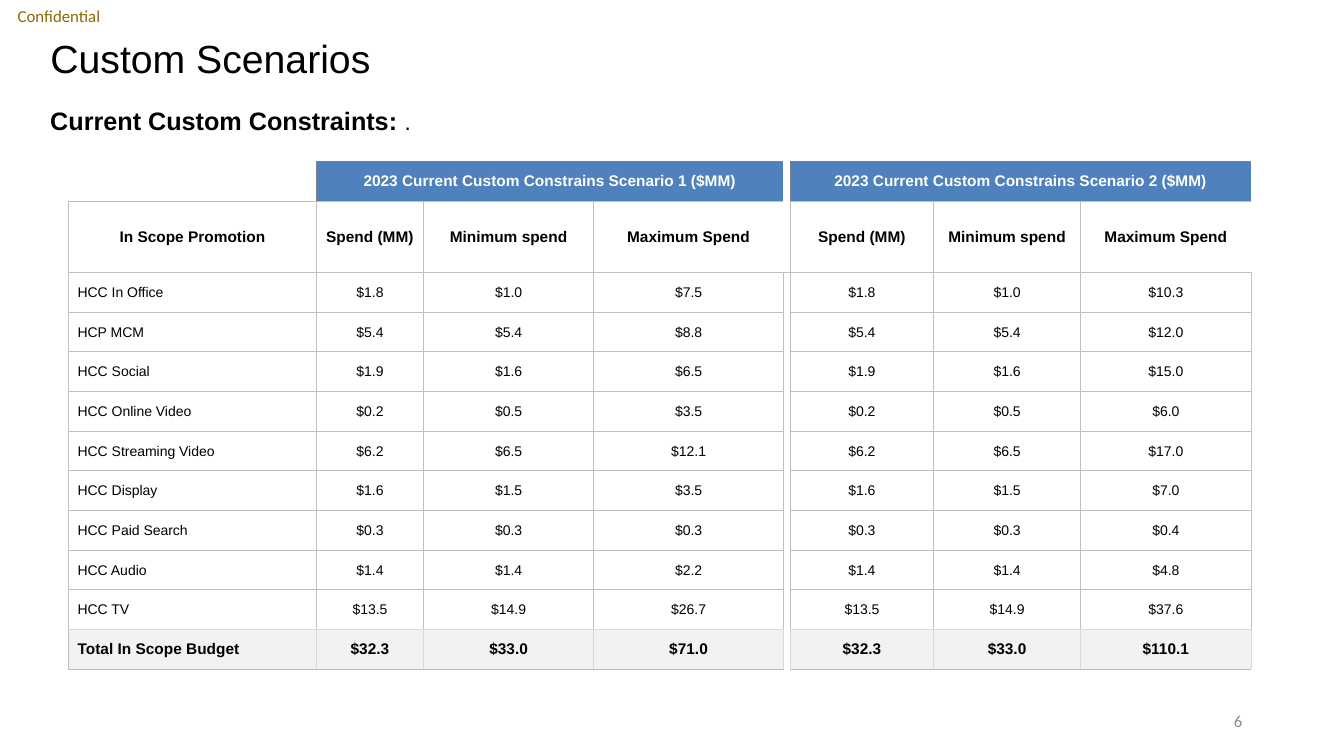
from pptx import Presentation
from pptx.dml.color import RGBColor
from pptx.enum import text
from pptx.oxml import parse_xml
from pptx.oxml.ns import nsdecls
from pptx import util as u

COLORS = {
    "black": "000000", "white": "FFFFFF", "banner": "4F81BD", "total": "F2F2F2",
    "grid": "BFBFBF", "pale": "D9D9D9", "dark": "808080",
    "gold": "8E6A00", "number": "8C8C8C",
}
LEFT, CENTER, RIGHT = text.PP_ALIGN.LEFT, text.PP_ALIGN.CENTER, text.PP_ALIGN.RIGHT
MIDDLE = text.MSO_ANCHOR.MIDDLE


def add_span(para, words, size, color="black", bold=False, font="Arial"):
    span = para.add_run()
    span.text = words
    span.font.name = font
    span.font.size = u.Pt(size)
    span.font.bold = bold
    span.font.color.rgb = RGBColor.from_string(COLORS[color])


def set_borders(cell, sides):
    """Draw the sides given as {"L": colour name}; clear the others."""
    properties = cell._tc.get_or_add_tcPr()
    for side in "LRTB":
        if side in sides:
            paint = f'<a:solidFill><a:srgbClr val="{COLORS[sides[side]]}"/></a:solidFill>'
        else:
            paint = "<a:noFill/>"
        properties.append(parse_xml(
            f'<a:ln{side} w="{u.Pt(0.5)}" {nsdecls("a")}>{paint}</a:ln{side}>'))


deck = Presentation()
deck.slide_width, deck.slide_height = u.Inches(13.33), u.Inches(7.5)
page = deck.slides.add_slide(deck.slide_layouts[5])

# Title
title = page.shapes.title
title.left, title.top = u.Inches(0.4), u.Inches(0.4)
title.width, title.height = u.Inches(12), u.Inches(0.4)
title.text_frame.auto_size = text.MSO_AUTO_SIZE.NONE
title.text_frame.vertical_anchor = MIDDLE
heading = title.text_frame.paragraphs[0]
heading.alignment = LEFT
heading.line_spacing = 0.9
add_span(heading, "Custom Scenarios", 28)

# Confidentiality label, subtitle and page number
labels = [
    ((0, 0, 1.17, 0.32), CENTER, MIDDLE, 0,
     [("Confidential", 12, "gold", False, "Calibri")]),
    ((0.4, 1, 12, 0.4), LEFT, text.MSO_ANCHOR.TOP, 0.1,
     [("Current Custom Constraints: ", 18, "black", True), (".", 16)]),
    ((9.42, 6.95, 3, 0.4), RIGHT, MIDDLE, 0.1,
     [("6", 12, "number", False, "Calibri")]),
]
for place, alignment, anchor, inset, spans in labels:
    box = page.shapes.add_textbox(*map(u.Inches, place))
    frame = box.text_frame
    frame.word_wrap = True
    frame.vertical_anchor = anchor
    frame.margin_left = frame.margin_right = u.Inches(inset)
    frame.margin_top = frame.margin_bottom = u.Inches(inset / 2)
    frame.paragraphs[0].alignment = alignment
    for span in spans:
        add_span(frame.paragraphs[0], *span)

# Table: the promotions, then three columns for each scenario around a narrow gap
measures = ["Spend (MM)", "Minimum spend", "Maximum Spend"]
banners = [f"2023 Current Custom Constrains Scenario {n} ($MM)" for n in (1, 2)]
# promotion, spend, minimum, maximum in scenario 1, maximum in scenario 2
budgets = [
    ("HCC In Office", 1.8, 1.0, 7.5, 10.3),
    ("HCP MCM", 5.4, 5.4, 8.8, 12.0),
    ("HCC Social", 1.9, 1.6, 6.5, 15.0),
    ("HCC Online Video", 0.2, 0.5, 3.5, 6.0),
    ("HCC Streaming Video", 6.2, 6.5, 12.1, 17.0),
    ("HCC Display", 1.6, 1.5, 3.5, 7.0),
    ("HCC Paid Search", 0.3, 0.3, 0.3, 0.4),
    ("HCC Audio", 1.4, 1.4, 2.2, 4.8),
    ("HCC TV", 13.5, 14.9, 26.7, 37.6),
    ("Total In Scope Budget", 32.3, 33.0, 71.0, 110.1),
]
rows = [["", banners[0], "", "", "", banners[1], "", ""],
        ["In Scope Promotion", *measures, "", *measures]]
for name, *amounts in budgets:
    spend, minimum, first_maximum, second_maximum = [f"${a:.1f}" for a in amounts]
    rows.append([name, spend, minimum, first_maximum, "", spend, minimum, second_maximum])

widths = [2.46, 1.06, 1.69, 1.88, 0.07, 1.42, 1.46, 1.69]
GAP, MAXIMUMS, LAST = 4, (3, 7), len(rows) - 1
TABLE_HEIGHT, HEADER_HEIGHT = 5.04, 0.71
row_height = (TABLE_HEIGHT - HEADER_HEIGHT) / LAST

table = page.shapes.add_table(len(rows), len(widths), u.Inches(0.68), u.Inches(1.6),
                              u.Inches(sum(widths)), u.Inches(TABLE_HEIGHT)).table
table.first_row = table.horz_banding = False
for column, width in zip(table.columns, widths):
    column.width = u.Inches(width)

for r, row in enumerate(rows):
    table.rows[r].height = u.Inches(HEADER_HEIGHT if r == 1 else row_height)
    for c, words in enumerate(row):
        cell = table.cell(r, c)
        is_banner = r == 0 and c not in (0, GAP)
        is_name = c == 0 and r > 1

        sides = dict.fromkeys("LRTB", "grid")
        if is_banner:
            sides = {"L": "dark", "T": "dark", "B": "grid"}
        elif r == 0:
            sides = {"R": "dark"} if c == GAP else {"R": "dark", "B": "grid"}
        elif c == GAP:
            sides = {"R": "grid", "B": "grid"} if r == 1 else {"L": "grid", "R": "grid"}
            if r == 2:
                sides["T"] = "grid"
        elif r == 1 and c in MAXIMUMS:
            del sides["R"]
        if r == LAST:
            sides = {side: "grid" if side == "B" or (side, c) == ("L", 0) else "pale"
                     for side in sides}
        elif r == LAST - 1 and c != GAP:
            sides["B"] = "pale"
        set_borders(cell, sides)

        if is_banner or (r == LAST and c != GAP):
            cell.fill.solid()
            cell.fill.fore_color.rgb = RGBColor.from_string(
                COLORS["banner" if is_banner else "total"])
        else:
            cell.fill.background()

        cell.vertical_anchor = MIDDLE
        cell.margin_left = u.Inches(0.09 if is_name else 0.01)
        cell.margin_right = cell.margin_top = u.Inches(0.01)
        cell.margin_bottom = 0
        para = cell.text_frame.paragraphs[0]
        para.alignment = LEFT if is_name else CENTER
        if words:
            strong = r in (0, 1, LAST)
            add_span(para, words, 11 if strong else 10,
                     "white" if is_banner else "black", strong)

for first in (1, GAP + 1):
    table.cell(0, first).merge(table.cell(0, first + 2))

deck.save("out.pptx")
